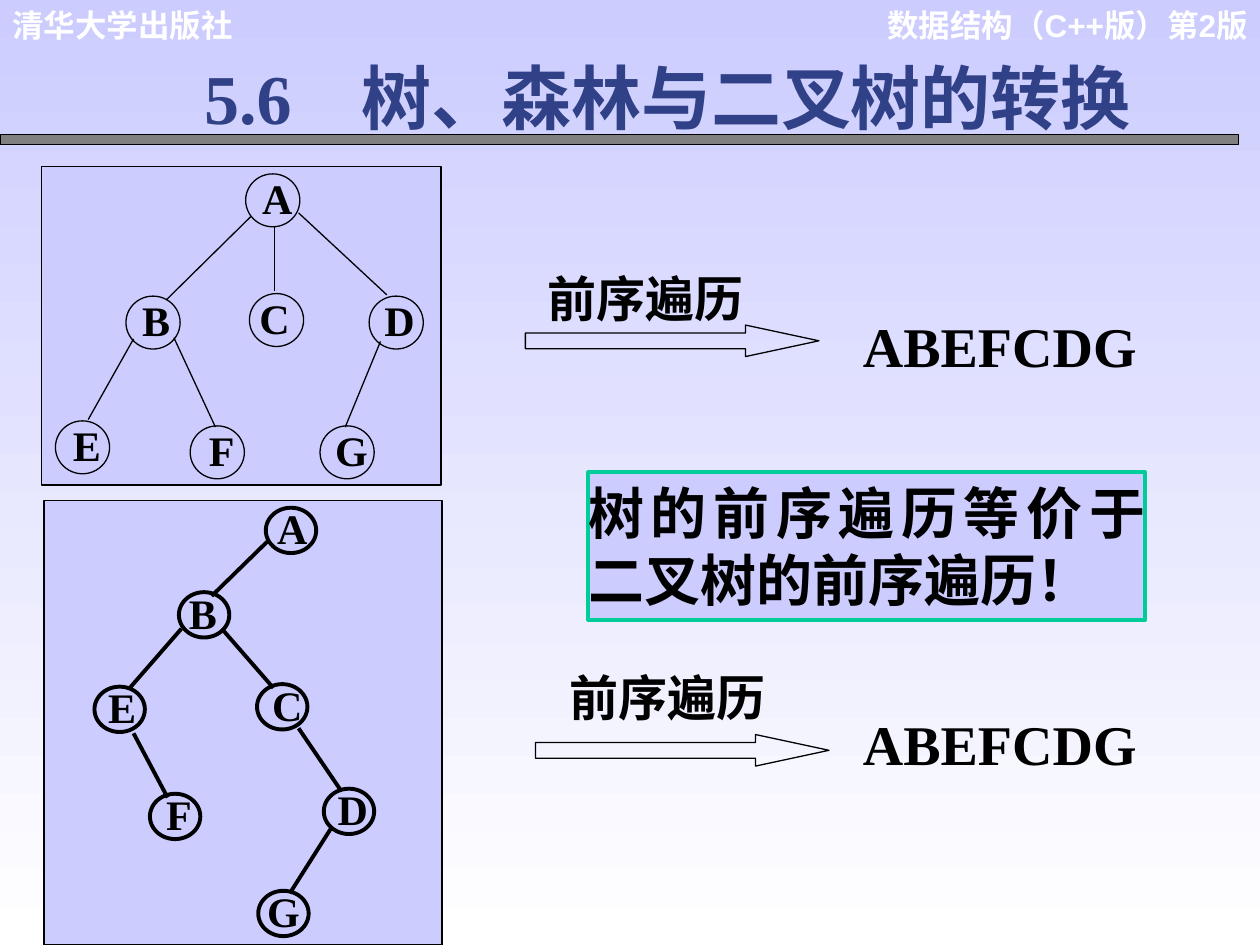
from lxml.etree import SubElement
from pptx import Presentation
from pptx.dml.color import RGBColor
from pptx.enum.shapes import MSO_CONNECTOR, MSO_SHAPE
from pptx.enum.text import MSO_ANCHOR, MSO_AUTO_SIZE, PP_ALIGN
from pptx.oxml.ns import qn
from pptx.util import Inches, Pt

THEME = {
    "ink": RGBColor(0x00, 0x00, 0x00),
    "white": RGBColor(0xFF, 0xFF, 0xFF),
    "title": RGBColor(0x31, 0x41, 0x87),
    "panel": RGBColor(0xCC, 0xCC, 0xFF),
    "bar": RGBColor(0x80, 0x80, 0x80),
    "accent": RGBColor(0x00, 0xCC, 0x99),
    "serif": "Times New Roman",
    "sans": "Arial",
    "title_size": Pt(40),
    "result_size": Pt(32),
    "caption_size": Pt(28),
    "node_size": Pt(24),
    "header_size": Pt(18),
    "thin": Pt(0.75),
    "thick": Pt(2.25),
}


def write(box, text, size, color="ink", face="serif", align=PP_ALIGN.LEFT, insets=(0.1, 0.05, 0.1, 0.05)):
    frame = box.text_frame
    margins = zip(("margin_left", "margin_top", "margin_right", "margin_bottom"), map(Inches, insets))
    layout = {
        "word_wrap": True,
        "auto_size": MSO_AUTO_SIZE.NONE,
        "vertical_anchor": MSO_ANCHOR.TOP,
        **dict(margins),
    }
    for key, value in layout.items():
        setattr(frame, key, value)
    paragraph = frame.paragraphs[0]
    paragraph.alignment = align
    run = paragraph.add_run()
    run.text = text
    for key, value in {"name": THEME[face], "size": THEME[size], "bold": True}.items():
        setattr(run.font, key, value)
    run.font.color.rgb = THEME[color]


def outline(shapes, preset, place, fill=None, line="ink", weight="thin"):
    shape = shapes.add_shape(preset, *map(Inches, place))
    shape.shadow.inherit = False
    if fill:
        shape.fill.solid()
        shape.fill.fore_color.rgb = THEME[fill]
    else:
        shape.fill.background()
    shape.line.color.rgb = THEME[line]
    shape.line.width = THEME[weight]
    return shape


deck = Presentation()
deck.slide_width, deck.slide_height = Inches(10), Inches(7.5)
slide = deck.slides.add_slide(deck.slide_layouts[5])

backdrop = slide.background.fill
backdrop.gradient()
backdrop.gradient_angle = 270
for stop, color in zip(backdrop.gradient_stops, ("panel", "white")):
    stop.color.rgb = THEME[color]

heading = slide.shapes.title
for key, value in zip(("left", "top", "width", "height"), (1.52, 0.38, 7.71, 0.77)):
    setattr(heading, key, Inches(value))
write(heading, "5.6　树、森林与二叉树的转换", "title_size", "title", align=PP_ALIGN.JUSTIFY)

headers = [
    ("数据结构（C++版）第2版", (6.89, 0, 3.11, 0.7), PP_ALIGN.RIGHT),
    ("清华大学出版社", (0, 0, 2.71, 0.4), PP_ALIGN.LEFT),
]
for text, place, align in headers:
    header = slide.shapes.add_textbox(*map(Inches, place))
    write(header, text, "header_size", "white", "sans", align)
outline(slide.shapes, MSO_SHAPE.RECTANGLE, (0, 1.07, 9.83, 0.08), "bar")

trees = [
    {
        "panel": (0.33, 1.32, 3.17, 2.53),
        "node": (0.43, 0.42),
        "label": (0.36, 0.5),
        "rise": 0.08,
        "insets": (0.04, 0.07, 0.04, 0.01),
        "weight": "thin",
        "nodes": [
            ("A", 1.95, 1.38, 0.07), ("B", 1, 2.35, 0.06), ("C", 1.98, 2.33, 0.02), ("D", 2.93, 2.35, 0.06),
            ("E", 0.44, 3.34, 0.07), ("F", 1.51, 3.38, 0.07), ("G", 2.54, 3.38, 0.07),
        ],
        "edges": [
            (1.99, 1.72, 1.32, 2.38), (2.18, 1.8, 2.18, 2.31), (2.37, 1.69, 3.07, 2.34),
            (1.06, 2.69, 0.7, 3.33), (1.38, 2.68, 1.71, 3.39), (3.02, 2.71, 2.74, 3.39),
        ],
    },
    {
        "panel": (0.35, 3.97, 3.16, 3.53),
        "node": (0.4, 0.36),
        "label": (0.34, 0.44),
        "rise": 0.07,
        "insets": (0.02, 0.03, 0.02, 0.01),
        "weight": "thick",
        "nodes": [
            ("A", 2.11, 4.03, 0.04), ("B", 1.42, 4.7, 0.02), ("E", 0.75, 5.45, 0.05), ("C", 2.04, 5.43, 0.07),
            ("F", 1.19, 6.3, 0.06), ("D", 2.57, 6.26, 0.06), ("G", 2.05, 7.07, 0.03),
        ],
        "edges": [
            (2.12, 4.3, 1.68, 4.73), (1.44, 4.99, 1.03, 5.46), (1.76, 4.99, 2.17, 5.46),
            (1.06, 5.82, 1.33, 6.33), (2.37, 5.78, 2.71, 6.28), (2.63, 6.57, 2.3, 7.09),
        ],
    },
]
for tree in trees:
    parts = slide.shapes.add_group_shape().shapes
    outline(parts, MSO_SHAPE.RECTANGLE, tree["panel"], "panel")
    for letter, left, top, shift in tree["nodes"]:
        label = parts.add_textbox(*map(Inches, (left + shift, top - tree["rise"], *tree["label"])))
        write(label, letter, "node_size", align=PP_ALIGN.CENTER, insets=tree["insets"])
        outline(parts, MSO_SHAPE.OVAL, (left, top, *tree["node"]), weight=tree["weight"])
    for ends in tree["edges"]:
        edge = parts.add_connector(MSO_CONNECTOR.STRAIGHT, *map(Inches, ends))
        edge.line.color.rgb = THEME["ink"]
        edge.line.width = THEME[tree["weight"]]
        SubElement(edge._element.spPr, qn("a:effectLst"))

traversals = [
    ((4.17, 2.58), (4.25, 2.08), (6.75, 2.42)),
    ((4.25, 5.83), (4.42, 5.25), (6.75, 5.58)),
]
for arrow_at, caption_at, result_at in traversals:
    arrow = outline(slide.shapes, MSO_SHAPE.RIGHT_ARROW, (*arrow_at, 2.33, 0.25))
    arrow.adjustments[1] = 2.33
    caption = slide.shapes.add_textbox(*map(Inches, (*caption_at, 1.92, 0.57)))
    write(caption, "前序遍历", "caption_size")
    result = slide.shapes.add_textbox(*map(Inches, (*result_at, 2.67, 0.64)))
    write(result, "ABEFCDG", "result_size")

conclusion = outline(slide.shapes, MSO_SHAPE.RECTANGLE, (4.67, 3.75, 4.42, 1.17), "panel", "accent", "thick")
write(conclusion, "树的前序遍历等价于二叉树的前序遍历！", "result_size", align=PP_ALIGN.JUSTIFY, insets=(0, 0.05, 0, 0.05))

deck.save("out.pptx")
